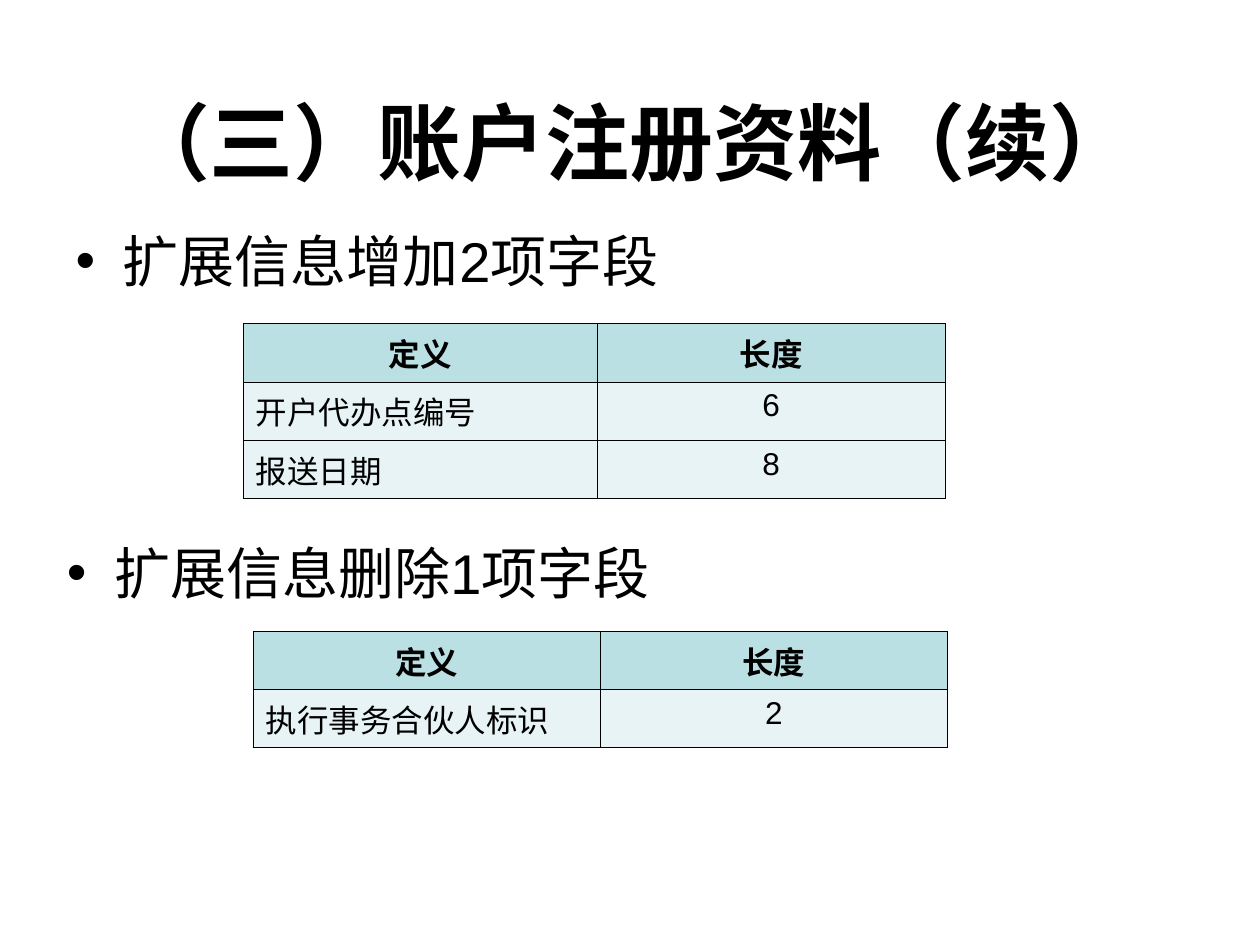
import dataclasses

import lxml.etree
import pptx
import pptx.dml.color
import pptx.enum.text
import pptx.oxml.ns
import pptx.util

ALIGN = pptx.enum.text.PP_ALIGN
QN = pptx.oxml.ns.qn


@dataclasses.dataclass(frozen=True)
class Theme:
    ink: str = "000000"
    header_fill: str = "BBE0E3"
    row_fill: str = "E7F3F4"
    font: str = "Arial"
    east_font: str = "Noto Sans CJK JP"
    title_size: int = 48
    list_size: int = 32
    cell_size: int = 18
    border_width: float = 0.45
    width: float = 10
    height: float = 7.5
    row_height: float = 0.46


THEME = Theme()
HEADINGS = ("定义", "长度")


def color(value):
    return pptx.dml.color.RGBColor.from_string(value)


def share_x(share):
    return pptx.util.Inches(THEME.width * share / 100)


def share_y(share):
    return pptx.util.Inches(THEME.height * share / 100)


def style_paragraph(para, size, align, bold=False, font=THEME.font):
    para.alignment = align
    para.font.size = pptx.util.Pt(size)
    para.font.bold = bold
    para.font.name = font
    para.font.color.rgb = color(THEME.ink)
    defaults = para._p.get_or_add_pPr().find(QN("a:defRPr"))
    east = lxml.etree.SubElement(defaults, QN("a:ea"))
    east.set("typeface", THEME.east_font)


def fill_placeholder(box, text, left, top, height, anchor):
    box.left, box.top = share_x(left), share_y(top)
    box.width, box.height = share_x(90), share_y(height)
    frame = box.text_frame
    frame.text = text
    frame.word_wrap = True
    frame.auto_size = pptx.enum.text.MSO_AUTO_SIZE.NONE
    frame.vertical_anchor = anchor
    para = frame.paragraphs[0]
    para.space_before = pptx.util.Pt(0)
    return para


def add_title(box, text):
    anchor = pptx.enum.text.MSO_ANCHOR.MIDDLE
    para = fill_placeholder(box, text, 5, 9.07, 11.6, anchor)
    style_paragraph(para, THEME.title_size, ALIGN.CENTER, True, THEME.east_font)


def add_list_item(box, text, left, top, height):
    anchor = pptx.enum.text.MSO_ANCHOR.TOP
    para = fill_placeholder(box, text, left, top, height, anchor)
    style_paragraph(para, THEME.list_size, ALIGN.LEFT)


def add_borders(cell):
    properties = cell._tc.get_or_add_tcPr()
    for index, side in enumerate(("lnL", "lnR", "lnT", "lnB")):
        line = lxml.etree.Element(QN(f"a:{side}"))
        line.set("w", str(int(pptx.util.Pt(THEME.border_width))))
        solid = lxml.etree.SubElement(line, QN("a:solidFill"))
        lxml.etree.SubElement(solid, QN("a:srgbClr")).set("val", THEME.ink)
        properties.insert(index, line)


def style_cell(cell, text, is_header, is_centered):
    cell.text = text
    cell.fill.solid()
    cell.fill.fore_color.rgb = color(
        THEME.header_fill if is_header else THEME.row_fill
    )
    add_borders(cell)
    align = ALIGN.CENTER if is_centered else ALIGN.LEFT
    style_paragraph(cell.text_frame.paragraphs[0], THEME.cell_size, align, is_header)


def add_field_table(page, left, top, column_shares, fields):
    rows = (HEADINGS, *fields)
    row_height = pptx.util.Inches(THEME.row_height)
    table = page.shapes.add_table(
        len(rows), len(HEADINGS), share_x(left), share_y(top),
        share_x(sum(column_shares)), row_height * len(rows),
    ).table
    for column, share in zip(table.columns, column_shares):
        column.width = share_x(share)
    for row_index, row in enumerate(rows):
        table.rows[row_index].height = row_height
        is_header = row_index == 0
        for column_index, text in enumerate(row):
            cell = table.cell(row_index, column_index)
            style_cell(cell, text, is_header, is_header or column_index > 0)


def main():
    deck = pptx.Presentation()
    deck.slide_width, deck.slide_height = share_x(100), share_y(100)
    page = deck.slides.add_slide(deck.slide_layouts.get_by_name("Two Content"))
    added, removed = page.placeholders[1], page.placeholders[2]
    add_title(page.shapes.title, "（三）账户注册资料（续）")
    add_list_item(added, "扩展信息增加2项字段", 5, 23.33, 16.13)
    add_field_table(
        page, 19.3, 34.27, (28.1, 27.6),
        (("开户代办点编号", "6"), ("报送日期", "8")),
    )
    add_list_item(removed, "扩展信息删除1项字段", 4.3, 56.27, 12)
    add_field_table(
        page, 20.1, 66.8, (27.55, 27.55), (("执行事务合伙人标识", "2"),)
    )
    deck.save("out.pptx")


if __name__ == "__main__":
    main()
